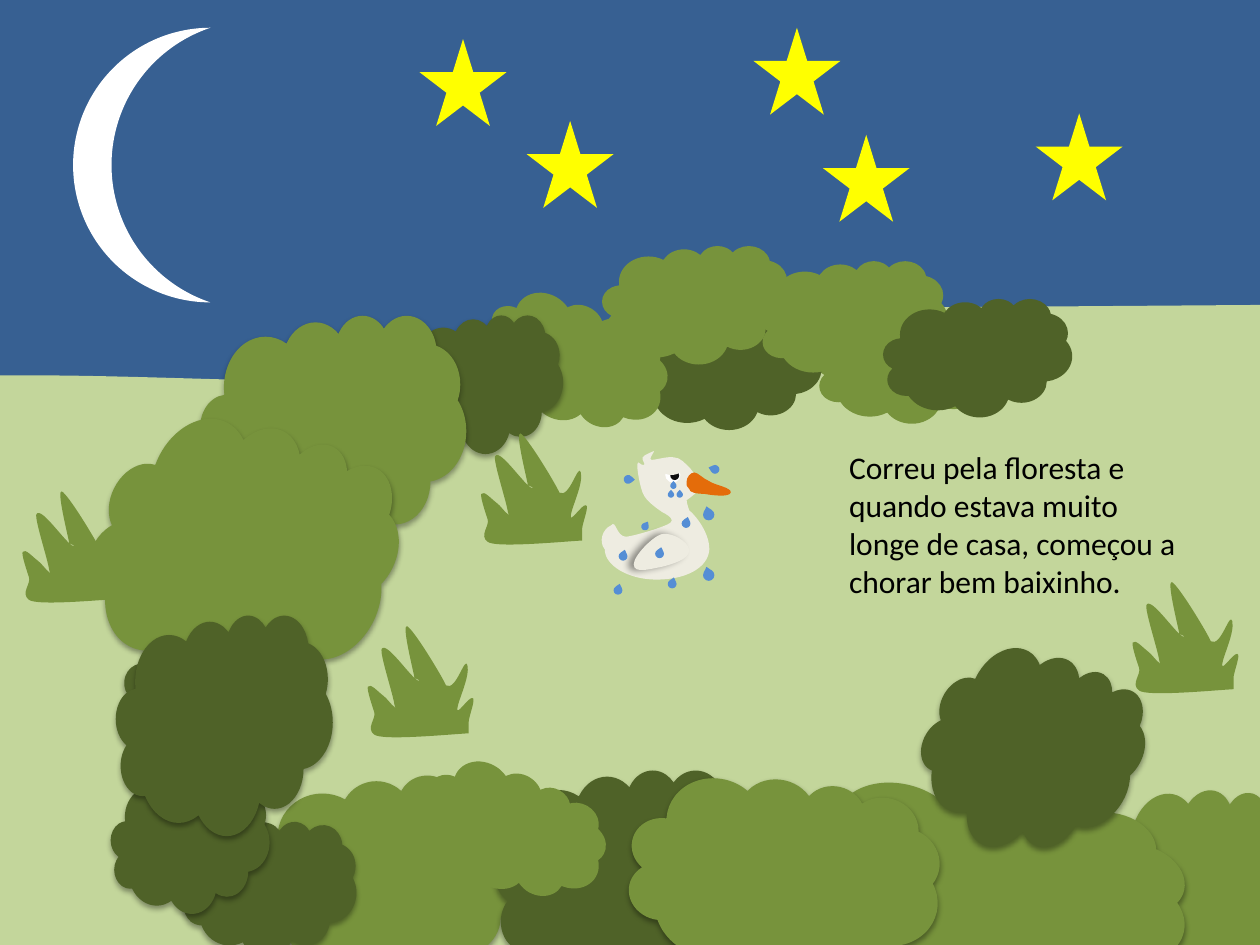
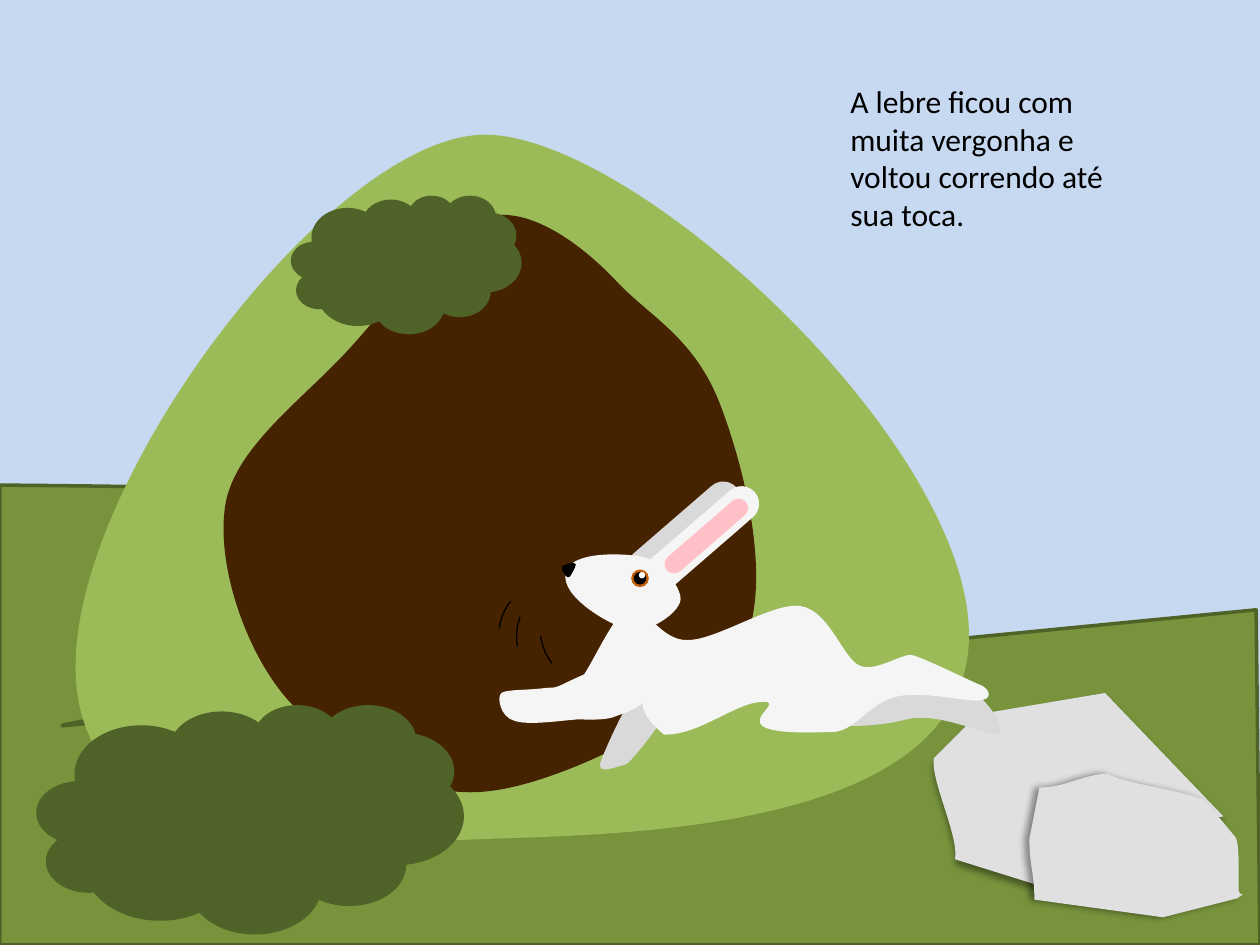
from pptx import Presentation, util as u
from pptx.dml.color import RGBColor
from pptx.enum import shapes, text
from pptx.oxml.ns import qn
from lxml import etree

NIGHT = RGBColor(0x37, 0x60, 0x92)
DAY = RGBColor(0xC6, 0xD9, 0xF1)
MEADOW = RGBColor(0xC3, 0xD6, 0x9B)
LEAF = RGBColor(0x77, 0x93, 0x3C)
DARK_LEAF = RGBColor(0x4F, 0x62, 0x28)
HILL = RGBColor(0x9B, 0xBB, 0x59)
EARTH = RGBColor(0x46, 0x23, 0x00)
STONE = RGBColor(0xE0, 0xE0, 0xE0)
FEATHER = RGBColor(0xEE, 0xEC, 0xE1)
BEAK = RGBColor(0xE4, 0x6C, 0x0A)
TEAR = RGBColor(0x55, 0x8E, 0xD5)
FUR = RGBColor(0xF5, 0xF5, 0xF5)
FAR_FUR = RGBColor(0xD9, 0xD9, 0xD9)
PINK = RGBColor(0xFF, 0xC1, 0xC7)
IRIS = RGBColor(0xC4, 0x5D, 0x08)
YELLOW = RGBColor(0xFF, 0xFF, 0x00)
WHITE = RGBColor(0xFF, 0xFF, 0xFF)
PUPIL = RGBColor(0x0D, 0x0D, 0x0D)
BLACK = RGBColor(0x00, 0x00, 0x00)

# Shadows: opacity %, blur pt, distance pt, direction in degrees
SOFT = (35, 3.1, 1.8, 90)
LEFTWARD = (40, 4, 3, 180)
DOWNWARD = (40, 4, 3, 90)

# Styles: fill, outline (colour, width), shadow
STYLES = {
    "meadow": (MEADOW, None, None),
    "field": (LEAF, (DARK_LEAF, 2), None),
    "leaf": (LEAF, None, None),
    "dark leaf": (DARK_LEAF, None, None),
    "soft leaf": (LEAF, None, SOFT),
    "soft dark leaf": (DARK_LEAF, None, SOFT),
    "hill": (HILL, None, None),
    "earth": (EARTH, None, None),
    "back stone": (STONE, None, DOWNWARD),
    "front stone": (STONE, None, LEFTWARD),
    "feather": (FEATHER, None, None),
    "wing": (FEATHER, None, LEFTWARD),
    "beak": (BEAK, None, None),
    "tear": (TEAR, None, None),
    "fur": (FUR, None, None),
    "far fur": (FAR_FUR, None, None),
    "pink": (PINK, None, None),
    "iris": (IRIS, None, None),
    "yellow": (YELLOW, None, None),
    "white": (WHITE, None, None),
    "pupil": (PUPIL, None, None),
    "black": (BLACK, None, None),
    "whisker": (None, (BLACK, 0.75), None),
}

MSO = shapes.MSO_SHAPE
PRESETS = {  # shape type and adjustments
    "cloud": (MSO.CLOUD, ()),
    "ellipse": (MSO.OVAL, ()),
    "drop": (MSO.TEAR, (1.08,)),
    "moon": (MSO.MOON, (0.28,)),
    "star": (MSO.STAR_5_POINT, ()),
    "pill": (MSO.ROUNDED_RECTANGLE, (0.5,)),
    "arc": (MSO.ARC, (97.2, 116.24)),
}

# Outlines in inches: first point, then L (straight) or C (cubic curve) segments
MEADOW_EDGE = """0,2.98 C 0.91,2.97 1.94,3.03 2.85,3.03 C 3.86,2.93 4.88,2.54 5.89,2.45
    L 10,2.42 L 10,7.53 L 0,7.53"""
DUCK = """5.19,3.58 C 5.19,3.58 5.11,3.61 5.1,3.63 C 5.09,3.65 5.13,3.69 5.11,3.69
    C 5.09,3.7 5.06,3.65 5.06,3.68 C 5.05,3.7 5.08,3.88 5.11,3.93
    C 5.13,3.97 5.19,4.02 5.25,4.06 C 5.24,4.06 5.37,4.11 5.32,4.15
    C 5.28,4.18 5.05,4.25 4.97,4.26 C 4.89,4.26 4.89,4.12 4.85,4.17
    C 4.78,4.2 4.75,4.3 4.8,4.36 C 4.8,4.49 4.99,4.6 5.21,4.6
    C 5.44,4.6 5.62,4.51 5.63,4.36 C 5.63,4.24 5.54,4.11 5.47,4.05
    C 5.46,4.02 5.45,3.99 5.45,3.97 C 5.49,3.94 5.55,3.9 5.56,3.86
    C 5.56,3.82 5.51,3.76 5.48,3.72 C 5.44,3.68 5.4,3.63 5.35,3.63
    C 5.3,3.62 5.21,3.65 5.17,3.65 C 5.14,3.65 5.2,3.58 5.19,3.58"""
WING = """5.47,4.37 C 5.47,4.3 5.33,4.22 5.25,4.24 C 5.18,4.26 5.03,4.41 5.03,4.48
    C 5.03,4.56 5.18,4.51 5.25,4.5 C 5.33,4.48 5.47,4.44 5.47,4.37"""
BILL = """5.45,3.82 C 5.45,3.79 5.48,3.75 5.51,3.75 C 5.54,3.75 5.58,3.8 5.63,3.82
    C 5.67,3.85 5.81,3.87 5.8,3.91 C 5.79,3.95 5.64,3.93 5.59,3.92
    C 5.53,3.92 5.47,3.91 5.47,3.88 C 5.45,3.86 5.44,3.84 5.45,3.82"""
GRASS = """0.31,0 C 0.36,0.02 0.59,0.4 0.62,0.47 C 0.7,0.52 0.77,0.23 0.79,0.31
    C 0.81,0.4 0.72,0.58 0.71,0.65 C 0.7,0.72 0.8,0.56 0.83,0.57
    C 0.86,0.57 0.8,0.72 0.8,0.76 L 0.8,0.85 C 0.63,0.86 0.11,0.91 0.05,0.86
    C -0.02,0.81 0.07,0.73 0.05,0.68 C 0.03,0.62 -0.01,0.5 0,0.48
    C 0.02,0.45 0.08,0.52 0.12,0.55 C 0.15,0.57 0.19,0.63 0.21,0.64
    C 0.22,0.65 0.23,0.69 0.21,0.62 C 0.2,0.54 0.09,0.21 0.11,0.18
    C 0.15,0.11 0.38,0.47 0.41,0.43 L 0.37,0.41
    C 0.35,0.31 0.27,-0.01 0.31,0"""
FIELD_EDGE = """0,3.85 C 6.83,3.9 6.87,4.37 5.24,4.84 C 3.62,5.3 0.33,5.75 0.5,5.76
    L 9.97,4.84 L 10,7.5 L 0,7.5"""
BACK_STONE = """7.76,5.67 L 8.77,5.5 L 9.71,6.48 C 9.45,6.5 9.52,6.88 9.25,6.9
    C 8.97,6.86 8.66,7.12 8.38,7.07 L 7.58,6.82 C 7.61,6.63 7.39,6.21 7.41,6.02"""
FRONT_STONE = """8.25,6.25 C 8.46,6.25 8.58,6.15 8.79,6.14 C 8.91,6.22 9.45,6.28 9.57,6.36
    L 9.81,6.65 C 9.84,6.73 9.83,6.98 9.83,7.06 C 9.84,7.14 9.91,7.06 9.82,7.13
    L 9.23,7.28 L 8.21,7.14 C 8.21,6.93 8.17,6.87 8.17,6.66"""
HILL_EDGE = """0.6,5.29 C 0.6,3.75 2.64,1.11 3.82,1.07 C 5,1.03 7.69,3.5 7.69,5.04
    C 7.69,6.59 5,6.62 3.82,6.66 C 2.64,6.71 0.6,6.84 0.6,5.29"""
BURROW = """1.79,4 C 1.87,3.54 2.43,3.15 2.78,2.76 C 3.13,2.38 3.52,1.8 3.87,1.72
    C 4.23,1.63 4.66,1.98 4.91,2.25 C 5.17,2.52 5.52,2.69 5.72,3.22
    C 5.92,3.75 6.14,4.65 5.89,5.15 C 5.63,5.64 4.47,6.22 3.87,6.28
    C 3.27,6.35 2.64,5.94 2.29,5.56 C 1.95,5.18 1.71,4.47 1.79,4"""
FAR_FORELEG = """5.72,5.67 C 5.72,5.59 5.4,5.19 5.24,5.25 C 5.09,5.31 4.82,5.9 4.77,6.04
    C 4.72,6.17 4.92,6.07 4.96,6.07 C 4.99,6.07 5.18,5.83 5.24,5.73
    C 5.29,5.63 5.72,5.75 5.72,5.67"""
FAR_HIND_LEG = """7.93,5.82 C 7.99,5.77 7.78,5.43 7.52,5.4 C 7.26,5.38 6.41,5.53 6.38,5.66
    C 6.36,5.78 6.91,5.79 7.19,5.71 C 7.47,5.64 7.88,5.87 7.93,5.82"""
HARE_BODY = """6.35,4.81 C 6.13,4.78 5.69,5.08 5.46,5.08 C 5.24,5.09 5.12,4.79 4.99,4.83
    C 4.87,4.87 4.7,5.28 4.61,5.39 C 4.51,5.49 4.99,5.4 4.84,5.43
    C 4.7,5.46 4.96,5.4 5.06,5.45 C 5.15,5.51 5,5.61 5.27,5.83
    C 5.55,5.84 5.84,5.57 6.06,5.57 C 6.28,5.57 5.59,5.85 6.59,5.81
    C 6.78,5.82 6.88,5.59 7.11,5.53 C 7.32,5.48 7.66,5.57 7.77,5.56
    C 7.89,5.55 7.85,5.47 7.79,5.44 C 7.73,5.42 7.33,5.22 7.24,5.2
    C 7.16,5.18 6.92,5.36 6.8,5.27 C 6.68,5.19 6.57,4.84 6.35,4.81"""
FORELEG = """5.16,5.47 C 5.19,5.33 5.07,5.2 5,5.18 C 4.93,5.15 4.9,5.25 4.76,5.3
    C 4.33,5.48 4.48,5.45 4.33,5.46 C 4.19,5.48 4.02,5.47 3.98,5.5
    C 3.94,5.53 3.97,5.69 4.08,5.72 C 4.19,5.76 4.44,5.72 4.58,5.71
    C 4.71,5.71 4.81,5.72 4.9,5.68 C 5,5.64 5.13,5.61 5.16,5.47"""
HARE_HEAD = """5.4,4.77 C 5.42,4.68 5.26,4.46 5.1,4.42 C 4.95,4.39 4.52,4.37 4.49,4.55
    C 4.45,4.74 4.84,4.96 4.99,5 C 5.15,5.03 5.38,4.87 5.4,4.77"""
NOSE = """4.47,4.54 C 4.46,4.53 4.45,4.5 4.47,4.49 C 4.49,4.48 4.56,4.45 4.57,4.48
    C 4.57,4.5 4.53,4.57 4.52,4.58 C 4.5,4.59 4.48,4.56 4.47,4.54"""

# A part is (kind, style, items), back to front; a list of parts is a group.
# Preset items: left, top, width, height[, rotation]; outlines: path[, dx, dy]
EYE = [("ellipse", "white", [(5.28, 3.71, 0.12, 0.12)]),
       ("ellipse", "pupil", [(5.32, 3.74, 0.07, 0.07)])]
CHEEK_TEARS = [("drop", "tear", [(x, y, 0.05, 0.05, 315)
                                 for x, y in ((5.32, 3.83), (5.37, 3.9), (5.3, 3.9))])]
FOREST = [
    ("outline", "meadow", [(MEADOW_EDGE,)]),
    ("outline", "feather", [(DUCK,)]),
    ("outline", "wing", [(WING,)]),
    EYE,
    ("outline", "beak", [(BILL,)]),
    ("cloud", "leaf", [(6.47, 2.42, 1.5, 0.94)]),
    ("cloud", "dark leaf", [(5.02, 2.47, 1.5, 0.94)]),
    ("cloud", "leaf", [(6.02, 2.07, 1.5, 0.94), (4.78, 1.95, 1.5, 0.94)]),
    ("cloud", "dark leaf", [(7.01, 2.37, 1.5, 0.94)]),
    ("cloud", "leaf", [(3.81, 2.41, 1.5, 0.94, 29.3)]),
    ("cloud", "soft leaf", [(2, 6.15, 2.28, 1.62)]),
    ("cloud", "soft dark leaf", [(3.93, 6.11, 2.05, 1.76)]),
    ("cloud", "soft leaf", [(8.75, 6.23, 1.65, 1.65, 12.8)]),
    ("cloud", "soft dark leaf", [(3.21, 2.5, 1.26, 1.1)]),
    ("cloud", "soft leaf", [(1.59, 2.5, 2.11, 1.89)]),
    ("cloud", "soft dark leaf", [(0.98, 4.96, 1.38, 1.1, 6.4)]),
    CHEEK_TEARS,
    ("cloud", "soft leaf", [(6.26, 6.24, 3.17, 1.65, 12.8)]),
    ("cloud", "soft dark leaf", [(7.36, 5.14, 1.65, 1.65, 30.5)]),
    ("cloud", "soft leaf", [(4.98, 6.16, 2.48, 1.65, 12.8), (0.76, 3.31, 2.31, 2.27, 26.3)]),
    ("cloud", "soft dark leaf", [(1.45, 6.5, 1.38, 1.1, 6.4)]),
    ("drop", "tear", [(5.09, 4.15, 0.06, 0.06, 345), (4.87, 4.65, 0.07, 0.07, 330),
                      (5.58, 4.52, 0.09, 0.09, 300), (5.58, 4.04, 0.09, 0.09, 300)]),
    ("cloud", "leaf", [(3.32, 6.13, 1.5, 0.94, 29.3)]),
    ("cloud", "soft dark leaf", [(0.88, 6.15, 1.26, 1.1), (0.92, 4.88, 1.72, 1.75)]),
    ("outline", "leaf", [(GRASS, x, y) for x, y in
                         ((3.82, 3.44), (8.99, 4.62), (2.92, 4.97), (0.18, 3.9))]),
    ("ellipse", "feather", [(5.24, 3.64, 0.18, 0.13)]),
    ("drop", "tear", [(x, y, 0.07, 0.07, turn) for x, y, turn in
                      ((5.41, 4.12, 330), (5.3, 4.6, 330), (4.91, 4.38, 330),
                       (5.2, 4.36, 330), (5.64, 3.69, 241.3), (4.95, 3.77, 47.6))]),
    ("moon", "white", [(0.58, 0.22, 1.09, 2.18)]),
    ("star", "yellow", [(x, y, 0.69, 0.69) for x, y in
                        ((3.33, 0.31), (4.18, 0.96), (5.98, 0.22), (8.22, 0.9), (6.53, 1.07))]),
]
HARE = [
    ("pill", "far fur", [(5.29, 3.68, 0.28, 1.1, 49.1)]),
    ("outline", "far fur", [(FAR_FORELEG,), (FAR_HIND_LEG,)]),
    ("outline", "fur", [(HARE_BODY,), (FORELEG,), (HARE_HEAD,)]),
    ("pill", "fur", [(5.42, 3.71, 0.28, 1.14, 49.1)]),
    ("pill", "pink", [(5.53, 3.84, 0.15, 0.83, 49.1)]),
    ("outline", "black", [(NOSE,)]),
    ("arc", "whisker", [(x, y, 0.86, 0.86, turn) for x, y, turn in
                        ((4.29, 4.57, 340.1), (4.1, 4.62, 7), (3.96, 4.61, 24.8))]),
    ("ellipse", "iris", [(5.01, 4.52, 0.14, 0.14)]),
    ("ellipse", "black", [(5.03, 4.54, 0.1, 0.1)]),
    ("ellipse", "white", [(5.07, 4.54, 0.05, 0.05)]),
]
DEN = [
    ("outline", "field", [(FIELD_EDGE,)]),
    ("outline", "back stone", [(BACK_STONE,)]),
    ("outline", "hill", [(HILL_EDGE,)]),
    ("outline", "earth", [(BURROW,)]),
    ("outline", "front stone", [(FRONT_STONE,)]),
    ("cloud", "dark leaf", [(0.29, 5.59, 3.39, 1.82), (2.31, 1.55, 1.83, 1.1)]),
    HARE,
]
SLIDES = [  # sky, scene, story text, text box
    (NIGHT, FOREST, "Correu pela floresta e quando estava muito longe de casa, "
     "começou a chorar bem baixinho.", (6.64, 3.51, 2.93, 1.31)),
    (DAY, DEN, "A lebre ficou com muita vergonha e voltou correndo até sua toca.",
     (6.65, 0.6, 2.49, 1.31)),
]
STORY_FONT = {"name": "Calibri", "size": u.Pt(18)}


def inches(values):
    return [u.Inches(v) for v in values]


def add_outline(tree, outline, dx=0, dy=0):
    """Build a freeform through all points, then bend each triple into a curve."""
    parts = outline.replace("L", "|").replace("C", "|").split("|")
    pairs = [[map(float, xy.split(",")) for xy in part.split()] for part in parts]
    (start,), *segments = [[inches((x + dx, y + dy)) for x, y in part] for part in pairs]
    builder = tree.build_freeform(*start, scale=1.0)
    builder.add_line_segments([xy for segment in segments for xy in segment], close=True)
    sp = builder.convert_to_shape()
    steps = iter(list(sp._element.iter(qn("a:lnTo"))))
    for segment in segments:
        first, *others = [next(steps) for _ in segment]
        if others:
            first.tag = qn("a:cubicBezTo")
        for step in others:
            first.append(step[0])
            step.getparent().remove(step)
    return sp


def add_preset(tree, kind, x, y, w, h, turn=0):
    shape_type, adjustments = PRESETS[kind]
    sp = tree.add_shape(shape_type, *inches((x, y, w, h)))
    sp.rotation = turn
    for i, value in enumerate(adjustments):
        sp.adjustments[i] = value
    return sp


def add_shadow(sp, opacity, blur, distance, direction):
    effects = sp._element.spPr.find(qn("a:effectLst"))
    shadow = etree.SubElement(effects, qn("a:outerShdw"), blurRad=str(u.Pt(blur)),
                              dist=str(u.Pt(distance)), dir=str(direction * 60000),
                              algn="ctr", rotWithShape="0")
    colour = etree.SubElement(shadow, qn("a:srgbClr"), val=str(BLACK))
    etree.SubElement(colour, qn("a:alpha"), val=str(opacity * 1000))


def apply_style(sp, fill, line, shadow):
    sp.shadow.inherit = False
    if fill is None:
        sp.fill.background()
    else:
        sp.fill.solid()
        sp.fill.fore_color.rgb = fill
    if line:
        sp.line.color.rgb, sp.line.width = line[0], u.Pt(line[1])
    else:
        sp.line.fill.background()
    if shadow:
        add_shadow(sp, *shadow)


def draw(tree, parts):
    for part in parts:
        if isinstance(part, list):
            draw(tree.add_group_shape().shapes, part)
            continue
        kind, style, items = part
        for item in items:
            sp = add_outline(tree, *item) if kind == "outline" else add_preset(tree, kind, *item)
            apply_style(sp, *STYLES[style])


def add_story(tree, story, box):
    tf = tree.add_textbox(*inches(box)).text_frame
    tf.word_wrap = True
    tf.auto_size = text.MSO_AUTO_SIZE.SHAPE_TO_FIT_TEXT
    r = tf.paragraphs[0].add_run()
    r.text = story
    for name, value in STORY_FONT.items():
        setattr(r.font, name, value)
    r.font.color.rgb = BLACK


def main():
    prs = Presentation()
    prs.slide_width, prs.slide_height = inches((10, 7.5))
    for sky, scene, story, box in SLIDES:
        s = prs.slides.add_slide(prs.slide_layouts[6])
        s.background.fill.solid()
        s.background.fill.fore_color.rgb = sky
        draw(s.shapes, scene)
        add_story(s.shapes, story, box)
    prs.save("out.pptx")


if __name__ == "__main__":
    main()
